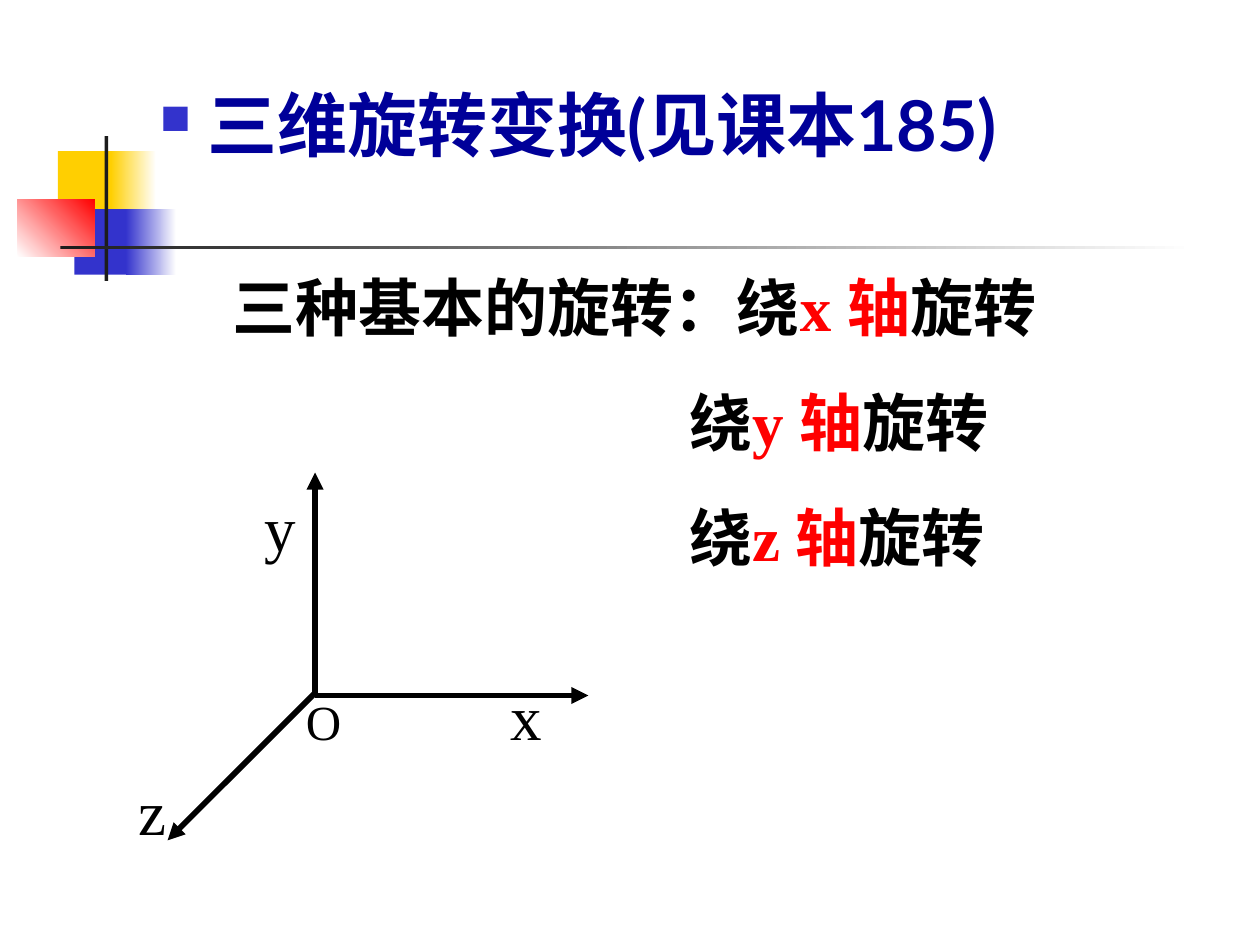
from dataclasses import dataclass
from typing import Optional

from lxml.etree import SubElement
from pptx import Presentation
from pptx.dml.color import RGBColor as Color
from pptx.enum.shapes import MSO_CONNECTOR as Connector, MSO_SHAPE as Preset
from pptx.oxml.ns import qn
from pptx.util import Inches, Pt


@dataclass(frozen=True)
class Theme:
    title_font: str = "Lato"
    body_font: str = "Times New Roman"
    title_size: int = 40
    body_size: int = 36
    origin_size: int = 28
    paragraph_gap: float = 22.5
    axis_width: float = 3.25
    title: str = "000099"
    text: str = "000000"
    accent: str = "FF0000"
    yellow: str = "FFCF01"
    blue: str = "3333CC"
    dark: str = "1C1C1C"
    white: str = "FFFFFF"


THEME = Theme()


@dataclass(frozen=True)
class Block:
    left: float
    top: float
    width: float
    height: float
    color: str
    end_color: Optional[str] = None
    angle: int = 0


@dataclass(frozen=True)
class Piece:
    text: str
    color: str = THEME.text
    size: int = THEME.body_size
    font: str = THEME.body_font
    bold: bool = False


BLOCKS = (
    Block(0.46, 1.2, 0.48, 0.52, THEME.yellow),
    Block(0.88, 1.2, 0.36, 0.52, THEME.yellow, THEME.white),
    Block(0.59, 1.66, 0.46, 0.52, THEME.blue),
    Block(1, 1.66, 0.4, 0.52, THEME.blue, THEME.white),
    Block(0.14, 1.58, 0.61, 0.46, THEME.white, THEME.accent, 45),
    Block(0.83, 1.08, 0.03, 1.15, THEME.dark),
    Block(0.48, 1.95, 9, 0.03, THEME.dark, THEME.white),
)
AXES = (
    ((2.5, 5.52), (4.67, 5.52)),
    ((2.5, 5.5), (2.5, 3.75)),
    ((2.5, 5.5), (1.33, 6.67)),
)
AXIS_LABELS = (("y", 2, 3.83), ("z", 1, 6.08))
ROTATION_INDENT = 3.62
X_LABEL_TAB = 1.62


def add_block(slide, block: Block) -> None:
    shape = slide.shapes.add_shape(
        Preset.RECTANGLE, Inches(block.left), Inches(block.top), Inches(block.width), Inches(block.height)
    )
    shape.shadow.inherit = False
    shape.line.fill.background()
    if block.end_color is None:
        shape.fill.solid()
        shape.fill.fore_color.rgb = Color.from_string(block.color)
        return
    shape.fill.gradient()
    shape.fill.gradient_angle = block.angle
    for stop, color in zip(shape.fill.gradient_stops, (block.color, block.end_color)):
        stop.color.rgb = Color.from_string(color)


def add_text_frame(slide, left: float, top: float, width: float, height: float):
    box = slide.shapes.add_textbox(Inches(left), Inches(top), Inches(width), Inches(height))
    box.text_frame.word_wrap = True
    return box.text_frame


def add_pieces(paragraph, *pieces: Piece) -> None:
    for piece in pieces:
        run = paragraph.add_run()
        run.text = piece.text
        run.font.name = piece.font
        run.font.size = Pt(piece.size)
        run.font.bold = piece.bold
        run.font.color.rgb = Color.from_string(piece.color)


def add_title(slide) -> None:
    paragraph = add_text_frame(slide, 1.17, 0.67, 8.33, 0.75).paragraphs[0]
    paragraph.line_spacing = 0.9
    properties = paragraph._p.get_or_add_pPr()
    properties.set("marL", str(Inches(0.38)))
    properties.set("indent", str(Inches(-0.38)))
    bullet_color = SubElement(properties, qn("a:buClr"))
    SubElement(bullet_color, qn("a:srgbClr"), val=THEME.blue)
    SubElement(properties, qn("a:buSzPct"), val="60000")
    SubElement(properties, qn("a:buChar"), char="■")
    add_pieces(
        paragraph,
        Piece("三维旋转变换(见课本185)", THEME.title, THEME.title_size, THEME.title_font, True),
    )


def add_rotations(slide) -> None:
    frame = add_text_frame(slide, 1.75, 2.08, 7.92, 2.53)
    for index, axis in enumerate("xyz"):
        first = index == 0
        paragraph = frame.paragraphs[0] if first else frame.add_paragraph()
        if not first:
            paragraph.space_before = Pt(THEME.paragraph_gap)
            paragraph._p.get_or_add_pPr().set("marL", str(Inches(ROTATION_INDENT)))
        add_pieces(
            paragraph,
            Piece("三种基本的旋转：绕" if first else "绕", bold=True),
            Piece(f"{axis} 轴", THEME.accent, bold=True),
            Piece("旋转", bold=True),
        )


def add_axis(slide, start: tuple[float, float], end: tuple[float, float]) -> None:
    axis = slide.shapes.add_connector(Connector.STRAIGHT, *map(Inches, start + end))
    axis.line.color.rgb = Color.from_string(THEME.text)
    axis.line.width = Pt(THEME.axis_width)
    SubElement(axis.line._get_or_add_ln(), qn("a:tailEnd"), type="triangle")
    SubElement(axis._element.spPr, qn("a:effectLst"))


def add_origin_and_x_label(slide) -> None:
    paragraph = add_text_frame(slide, 2.33, 5.33, 2.58, 0.7).paragraphs[0]
    tabs = SubElement(paragraph._p.get_or_add_pPr(), qn("a:tabLst"))
    SubElement(tabs, qn("a:tab"), pos=str(Inches(X_LABEL_TAB)), algn="l")
    add_pieces(paragraph, Piece("O", size=THEME.origin_size), Piece("\tx"))


def main() -> None:
    """Build the slide on three-dimensional rotations and save it."""
    presentation = Presentation()
    presentation.slide_width, presentation.slide_height = Inches(10), Inches(7.5)
    slide = presentation.slides.add_slide(presentation.slide_layouts[6])
    for block in BLOCKS:
        add_block(slide, block)
    add_title(slide)
    add_rotations(slide)
    for start, end in AXES:
        add_axis(slide, start, end)
    add_origin_and_x_label(slide)
    for label, left, top in AXIS_LABELS:
        add_pieces(add_text_frame(slide, left, top, 0.58, 0.7).paragraphs[0], Piece(label))
    presentation.save("out.pptx")


if __name__ == "__main__":
    main()
